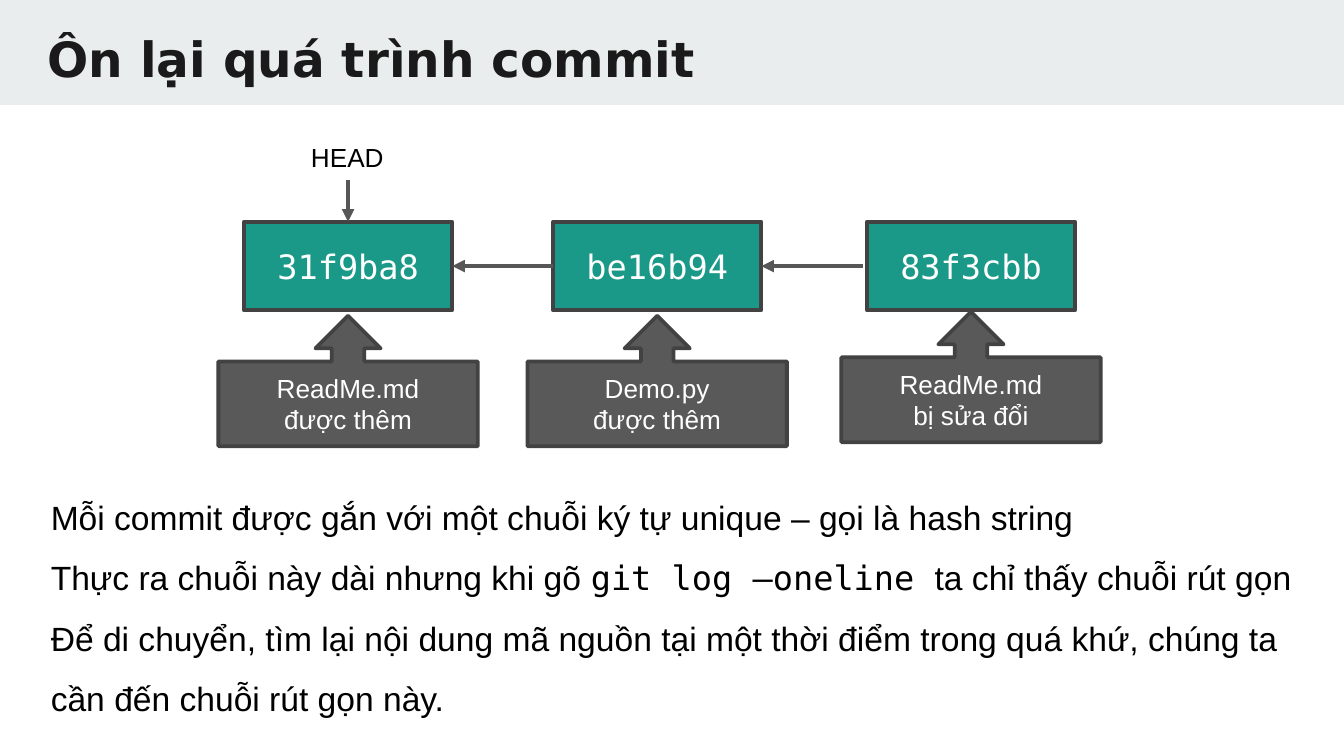
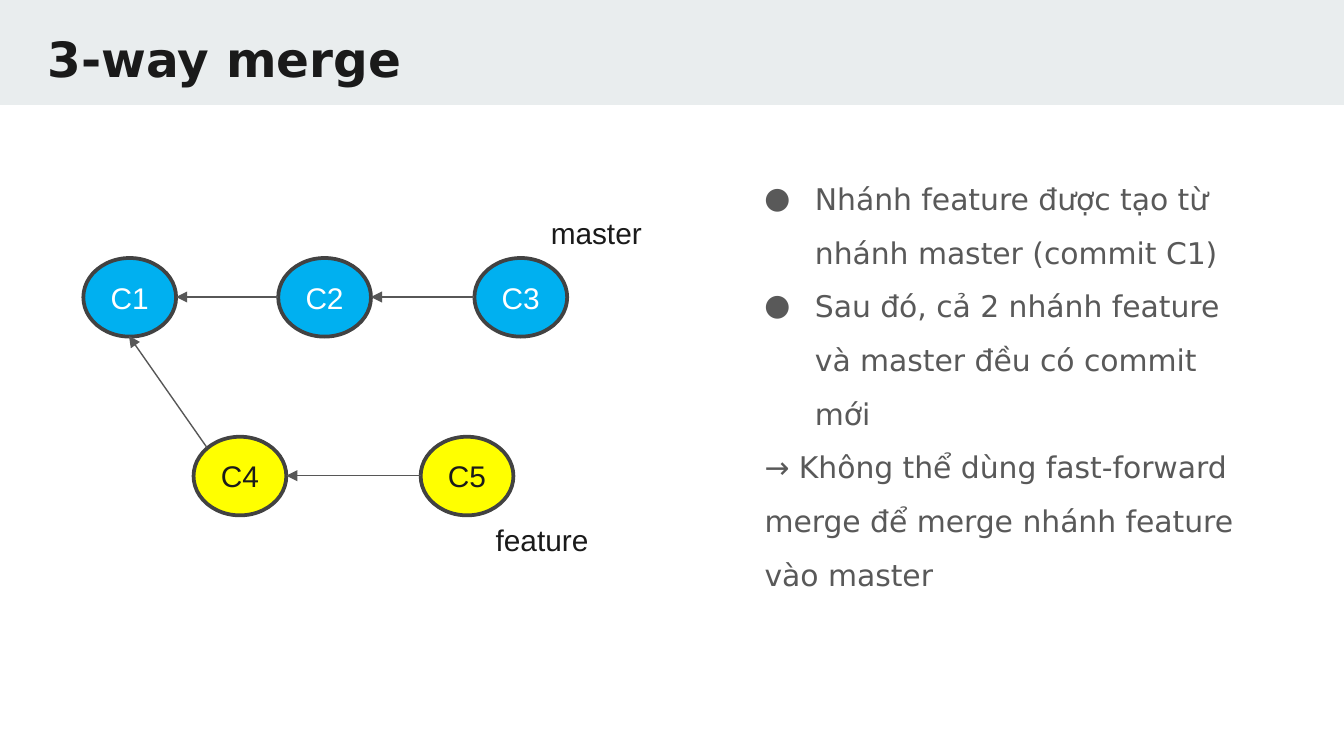
from copy import deepcopy
from dataclasses import dataclass
from typing import Any, NamedTuple, Optional

from lxml import etree
from pptx import Presentation
from pptx.dml.color import RGBColor
from pptx.enum.shapes import MSO_CONNECTOR, MSO_SHAPE
from pptx.enum.text import MSO_ANCHOR, MSO_AUTO_SIZE, PP_ALIGN
from pptx.oxml.ns import qn
from pptx.util import Emu, Pt

RECTANGLE = MSO_SHAPE.RECTANGLE
ELLIPSE = MSO_SHAPE.OVAL
CALLOUT = MSO_SHAPE.UP_ARROW_CALLOUT
STRAIGHT = MSO_CONNECTOR.STRAIGHT
MIDDLE = MSO_ANCHOR.MIDDLE
GROW = MSO_AUTO_SIZE.SHAPE_TO_FIT_TEXT
CENTER = PP_ALIGN.CENTER
LEFT = PP_ALIGN.LEFT

EMU_PER_PX = 4572
SLIDE_WIDTH, SLIDE_HEIGHT = 2000, 1125
TOP, LEFT_SIDE, BOTTOM, RIGHT_SIDE = range(4)

COLORS = {
    "band": "E9EDEE",
    "ink": "1A1A1A",
    "black": "000000",
    "white": "FFFFFF",
    "grey": "595959",
    "arrow": "575757",
    "outline": "424242",
    "commit": "1A9988",
    "master": "00B0F0",
    "feature": "FFFF00",
}
SANS, DEJAVU, MONO = "Arial", "DejaVu Sans", "DejaVu Sans Mono"


class TextStyle(NamedTuple):
    """Font settings of a run."""
    color: str
    font: dict[str, Any]


class Box(NamedTuple):
    """Place and size in px."""
    left: int
    top: int
    width: int
    height: int


@dataclass(frozen=True)
class Node:
    """A filled, outlined preset shape with centred text."""
    kind: Any
    box: Box
    text: str
    fill: str
    style: TextStyle


@dataclass(frozen=True)
class Arrow:
    """A straight arrow, in px."""
    start: tuple[int, int]
    end: tuple[int, int]
    weight: float


@dataclass(frozen=True)
class TextLine:
    """A paragraph of runs with its indents in px."""
    runs: tuple[tuple[str, TextStyle], ...]
    spacing: float = 1.0
    margin: int = 0
    indent: int = 0
    bullet: Optional[str] = None


def text_style(color: str, name: str, size: int, bold: bool = False) -> TextStyle:
    """Return a run style."""
    return TextStyle(color, {"name": name, "size": Pt(size), "bold": bold})


TITLE = text_style("ink", DEJAVU, 26, True)
HASH = text_style("white", MONO, 18)
LABEL = text_style("black", SANS, 14)
CHANGE = text_style("white", SANS, 14)
PROSE = text_style("black", SANS, 18)
COMMAND = text_style("black", MONO, 18)
MASTER = text_style("white", SANS, 16)
BRANCH = text_style("ink", SANS, 16)
BODY = text_style("grey", DEJAVU, 16)

COMMITS = [
    (363, 470, "31f9ba8", "ReadMe.md\nđược thêm"),
    (823, 470, "be16b94", "Demo.py\nđược thêm"),
    (1290, 464, "83f3cbb", "ReadMe.md\nbị sửa đổi"),
]
HASH_NOTES = [
    (("Mỗi commit được gắn với một chuỗi ký tự unique – gọi là hash string", PROSE),),
    (
        ("Thực ra chuỗi này dài nhưng khi gõ ", PROSE),
        ("git log –oneline ", COMMAND),
        ("ta chỉ thấy chuỗi rút gọn", PROSE),
    ),
    (("Để di chuyển, tìm lại nội dung mã nguồn tại một thời điểm trong quá khứ, chúng ta", PROSE),),
    (("cần đến chuỗi rút gọn này.", PROSE),),
]
BRANCH_NODES = [
    (124, 384, "C1", "master", MASTER),
    (414, 384, "C2", "master", MASTER),
    (706, 384, "C3", "master", MASTER),
    (626, 650, "C5", "feature", BRANCH),
    (288, 650, "C4", "feature", BRANCH),
]
BRANCH_ARROWS = [
    ((414, 442), (262, 442)),
    ((706, 442), (552, 442)),
    ((308, 666), (192, 500)),
    ((626, 708), (426, 708)),
]
BRANCH_LABELS = [("master", 800, 310), ("feature", 718, 767)]
BRANCH_BULLETS = [
    "Nhánh feature được tạo từ nhánh master (commit C1)",
    "Sau đó, cả 2 nhánh feature và master đều có commit mới",
]
CONCLUSION = "→ Không thể dùng fast-forward merge để merge nhánh feature vào master"


def px(length: int) -> Emu:
    """Turn px into EMU."""
    return Emu(length * EMU_PER_PX)


def rgb(color: str) -> RGBColor:
    """Look up a named colour."""
    return RGBColor.from_string(COLORS[color])


def apply(target: Any, values: dict[str, Any]) -> None:
    """Set every attribute in values."""
    for name, value in values.items():
        setattr(target, name, value)


def write_runs(paragraph: Any, runs: tuple[tuple[str, TextStyle], ...]) -> None:
    """Write styled runs, with a line break at each newline."""
    for text, style in runs:
        for index, part in enumerate(text.split("\n")):
            if index:
                paragraph.add_line_break()
            run = paragraph.add_run()
            run.text = part
            apply(run.font, style.font)
            run.font.color.rgb = rgb(style.color)
    for line_break in paragraph._p.findall(qn("a:br")):
        line_break.append(deepcopy(paragraph._p.find(qn("a:r")).find(qn("a:rPr"))))


def write_line(paragraph: Any, line: TextLine) -> None:
    """Write one paragraph with its indents and bullet."""
    properties = paragraph._p.get_or_add_pPr()
    properties.set("marL", str(px(line.margin)))
    properties.set("indent", str(px(line.indent)))
    if line.bullet:
        bullet_color = etree.SubElement(properties, qn("a:buClr"))
        etree.SubElement(bullet_color, qn("a:srgbClr"), val=COLORS["grey"])
        etree.SubElement(properties, qn("a:buFont"), typeface=DEJAVU)
        etree.SubElement(properties, qn("a:buChar"), char=line.bullet)
    apply(paragraph, {"line_spacing": line.spacing, "alignment": LEFT})
    write_runs(paragraph, line.runs)


def add_text(slide: Any, box: Box, lines: list[TextLine], **frame_format: Any) -> Any:
    """Add a text box."""
    shape = slide.shapes.add_textbox(*map(px, box))
    frame = shape.text_frame
    apply(frame, {"word_wrap": True, **frame_format})
    for index, line in enumerate(lines):
        write_line(frame.add_paragraph() if index else frame.paragraphs[0], line)
    return shape


def add_node(slide: Any, node: Node) -> Any:
    """Add an outlined shape with centred text."""
    shape = slide.shapes.add_shape(node.kind, *map(px, node.box))
    shape.shadow.inherit = False
    shape.fill.solid()
    shape.fill.fore_color.rgb = rgb(node.fill)
    shape.line.color.rgb = rgb("outline")
    shape.line.width = Pt(2)
    apply(shape.text_frame, {"word_wrap": True, "vertical_anchor": MIDDLE})
    paragraph = shape.text_frame.paragraphs[0]
    paragraph.alignment = CENTER
    write_runs(paragraph, ((node.text, node.style),))
    return shape


def add_arrow(slide: Any, arrow: Arrow) -> Any:
    """Add a straight connector with a triangle at its end."""
    connector = slide.shapes.add_connector(STRAIGHT, *map(px, arrow.start + arrow.end))
    connector.line.color.rgb = rgb("arrow")
    connector.line.width = Pt(arrow.weight)
    properties = connector._element.spPr
    etree.SubElement(properties.find(qn("a:ln")), qn("a:tailEnd"), type="triangle")
    etree.SubElement(properties, qn("a:effectLst"))
    return connector


def add_titled_slide(presentation: Any, title: str) -> Any:
    """Add a blank slide with the title band."""
    slide = presentation.slides.add_slide(presentation.slide_layouts[6])
    band = slide.shapes.add_shape(RECTANGLE, *map(px, Box(0, 0, SLIDE_WIDTH, 156)))
    band.shadow.inherit = False
    band.fill.solid()
    band.fill.fore_color.rgb = rgb("band")
    band.line.fill.background()
    add_text(slide, Box(51, 23, 1904, 118), [TextLine(((title, TITLE),))],
             margin_top=px(20), margin_bottom=px(20))
    return slide


def build_commit_slide(presentation: Any) -> None:
    """Build the chain of commits with its notes."""
    slide = add_titled_slide(presentation, "Ôn lại quá trình commit")
    head = add_text(slide, Box(443, 200, 150, 68), [TextLine((("HEAD", LABEL),))],
                    word_wrap=False, auto_size=GROW)
    commits = []
    for left, callout_top, name, change in COMMITS:
        commits.append(add_node(slide, Node(RECTANGLE, Box(left, 330, 310, 132), name, "commit", HASH)))
        add_node(slide, Node(CALLOUT, Box(left - 38, callout_top, 386, 194), change, "grey", CHANGE))
    first, second, _ = commits

    head_arrow = add_arrow(slide, Arrow((518, 268), (518, 330), 2.25))
    head_arrow.begin_connect(head, BOTTOM)
    head_arrow.end_connect(first, TOP)
    second_arrow = add_arrow(slide, Arrow((823, 396), (673, 396), 2.25))
    second_arrow.begin_connect(second, LEFT_SIDE)
    second_arrow.end_connect(first, RIGHT_SIDE)
    third_arrow = add_arrow(slide, Arrow((1284, 396), (1133, 396), 2.25))
    third_arrow.end_connect(second, RIGHT_SIDE)

    notes = [TextLine(runs, spacing=1.5) for runs in HASH_NOTES]
    add_text(slide, Box(56, 699, 1900, 464), notes, word_wrap=False, auto_size=GROW)


def build_merge_slide(presentation: Any) -> None:
    """Build the two branches with their explanation."""
    slide = add_titled_slide(presentation, "3-way merge")
    lines = [TextLine(((text, BODY),), 1.5, 100, -75, "●") for text in BRANCH_BULLETS]
    lines.append(TextLine(((CONCLUSION, BODY),), 1.5, 25))
    add_text(slide, Box(1093, 222, 778, 856), lines, margin_top=px(20), margin_bottom=px(20))
    for left, top, name, fill, style in BRANCH_NODES:
        add_node(slide, Node(ELLIPSE, Box(left, top, 138, 117), name, fill, style))
    for start, end in BRANCH_ARROWS:
        add_arrow(slide, Arrow(start, end, 0.75))
    for name, left, top in BRANCH_LABELS:
        add_text(slide, Box(left, top, 188, 74), [TextLine(((name, BRANCH),))], auto_size=GROW)


def main() -> None:
    """Build and save the presentation."""
    presentation = Presentation()
    presentation.slide_width = px(SLIDE_WIDTH)
    presentation.slide_height = px(SLIDE_HEIGHT)
    build_commit_slide(presentation)
    build_merge_slide(presentation)
    presentation.save("out.pptx")


if __name__ == "__main__":
    main()
